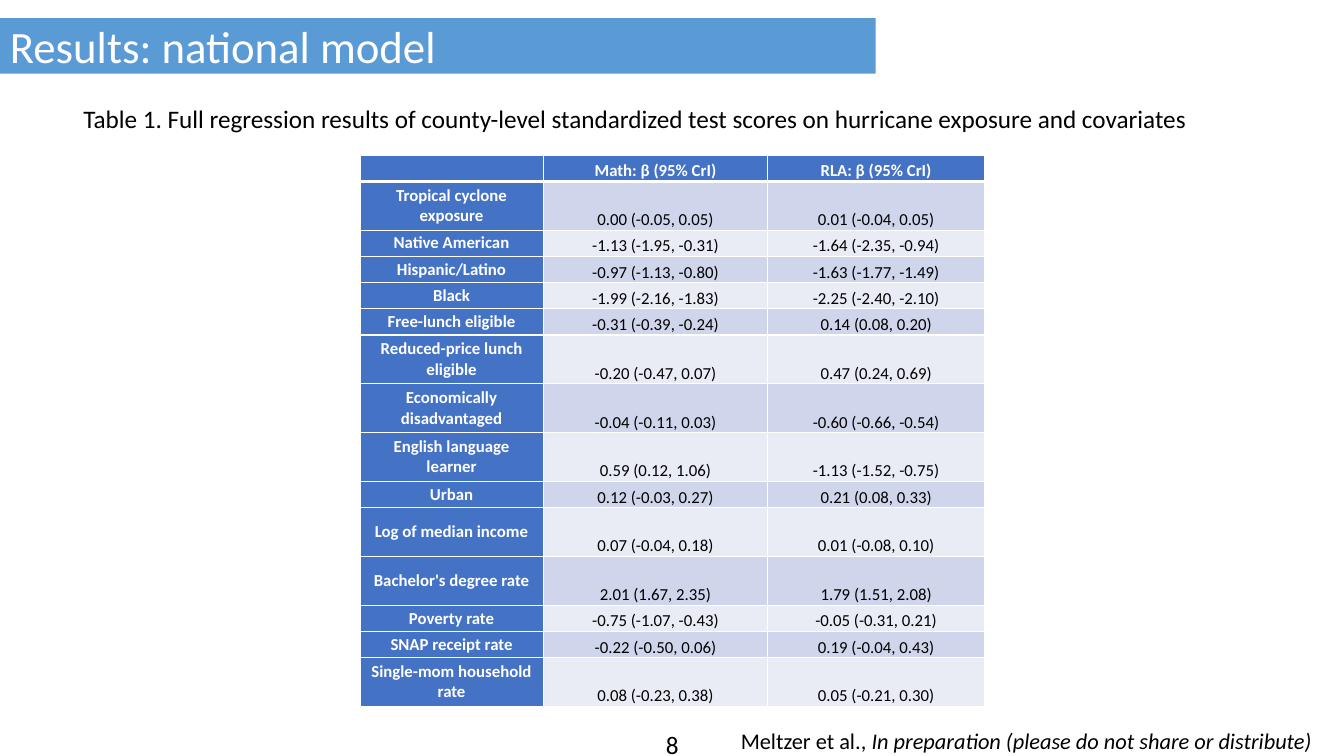
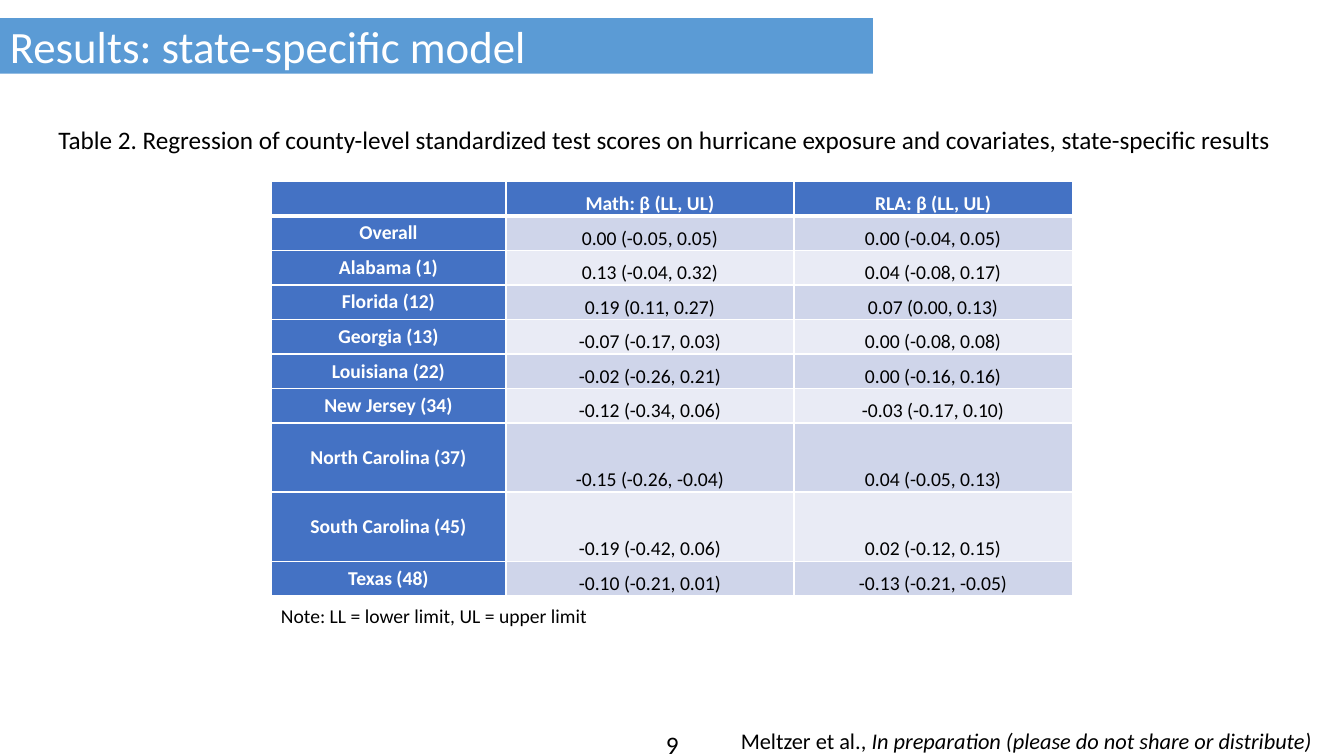
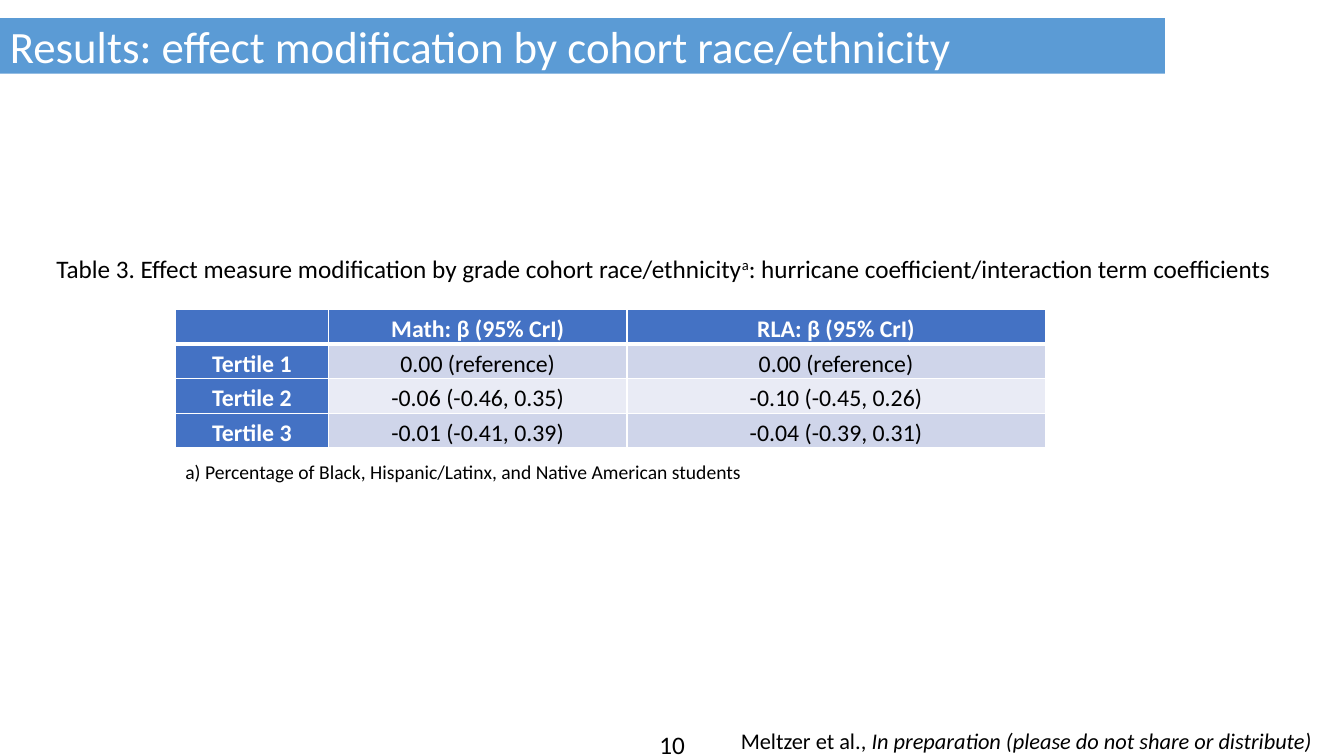
from dataclasses import dataclass

from lxml.etree import SubElement
from pptx import Presentation
from pptx.dml.color import RGBColor
from pptx.enum.shapes import MSO_SHAPE
from pptx.enum.text import MSO_ANCHOR, MSO_AUTO_SIZE, PP_ALIGN
from pptx.oxml.ns import qn
from pptx.util import Cm, Pt


@dataclass(frozen=True)
class Theme:
    """Colours, typeface and type sizes shared by all slides."""

    font: str = "Calibri"
    band: str = "5B9BD5"
    header: str = "4472C4"
    odd_row: str = "CFD5EA"
    even_row: str = "E9EBF5"
    white: str = "FFFFFF"
    black: str = "000000"
    title_size: int = 32
    caption_size: int = 18
    number_size: int = 18
    credit_size: int = 16
    note_size: int = 14


THEME = Theme()

NATIONAL = [
    ("", "Math: β (95% CrI)", "RLA: β (95% CrI)"),
    ("Tropical cyclone exposure", "0.00 (-0.05, 0.05)", "0.01 (-0.04, 0.05)"),
    ("Native American", "-1.13 (-1.95, -0.31)", "-1.64 (-2.35, -0.94)"),
    ("Hispanic/Latino", "-0.97 (-1.13, -0.80)", "-1.63 (-1.77, -1.49)"),
    ("Black", "-1.99 (-2.16, -1.83)", "-2.25 (-2.40, -2.10)"),
    ("Free-lunch eligible", "-0.31 (-0.39, -0.24)", "0.14 (0.08, 0.20)"),
    ("Reduced-price lunch eligible", "-0.20 (-0.47, 0.07)", "0.47 (0.24, 0.69)"),
    ("Economically disadvantaged", "-0.04 (-0.11, 0.03)", "-0.60 (-0.66, -0.54)"),
    ("English language learner", "0.59 (0.12, 1.06)", "-1.13 (-1.52, -0.75)"),
    ("Urban", "0.12 (-0.03, 0.27)", "0.21 (0.08, 0.33)"),
    ("Log of median income", "0.07 (-0.04, 0.18)", "0.01 (-0.08, 0.10)"),
    ("Bachelor's degree rate", "2.01 (1.67, 2.35)", "1.79 (1.51, 2.08)"),
    ("Poverty rate", "-0.75 (-1.07, -0.43)", "-0.05 (-0.31, 0.21)"),
    ("SNAP receipt rate", "-0.22 (-0.50, 0.06)", "0.19 (-0.04, 0.43)"),
    ("Single-mom household rate", "0.08 (-0.23, 0.38)", "0.05 (-0.21, 0.30)"),
]
NATIONAL_TALL = (1, 6, 7, 8, 10, 11, 14)

STATES = [
    ("", "Math: β (LL, UL)", "RLA: β (LL, UL)"),
    ("Overall", "0.00 (-0.05, 0.05)", "0.00 (-0.04, 0.05)"),
    ("Alabama (1)", "0.13 (-0.04, 0.32)", "0.04 (-0.08, 0.17)"),
    ("Florida (12)", "0.19 (0.11, 0.27)", "0.07 (0.00, 0.13)"),
    ("Georgia (13)", "-0.07 (-0.17, 0.03)", "0.00 (-0.08, 0.08)"),
    ("Louisiana (22)", "-0.02 (-0.26, 0.21)", "0.00 (-0.16, 0.16)"),
    ("New Jersey (34)", "-0.12 (-0.34, 0.06)", "-0.03 (-0.17, 0.10)"),
    ("North Carolina (37)", "-0.15 (-0.26, -0.04)", "0.04 (-0.05, 0.13)"),
    ("South Carolina (45)", "-0.19 (-0.42, 0.06)", "0.02 (-0.12, 0.15)"),
    ("Texas (48)", "-0.10 (-0.21, 0.01)", "-0.13 (-0.21, -0.05)"),
]
STATES_TALL = (7, 8)

TERTILES = [
    ("", "Math: β (95% CrI)", "RLA: β (95% CrI)"),
    ("Tertile 1", "0.00 (reference)", "0.00 (reference)"),
    ("Tertile 2", "-0.06 (-0.46, 0.35)", "-0.10 (-0.45, 0.26)"),
    ("Tertile 3", "-0.01 (-0.41, 0.39)", "-0.04 (-0.39, 0.31)"),
]


def style(paragraph, size, color=THEME.black, bold=False, align=PP_ALIGN.LEFT):
    """Set the font and alignment of a whole paragraph."""
    paragraph.alignment = align
    font = paragraph.font
    font.name, font.size, font.bold = THEME.font, Pt(size), bold
    font.color.rgb = RGBColor.from_string(color)


def add_text(slide, box, parts, size, wrap=False, align=PP_ALIGN.LEFT):
    """Add one line of text made of parts and return its runs."""
    frame = slide.shapes.add_textbox(*map(Cm, box)).text_frame
    frame.word_wrap = wrap
    frame.auto_size = MSO_AUTO_SIZE.SHAPE_TO_FIT_TEXT
    paragraph = frame.paragraphs[0]
    for part in parts:
        paragraph.add_run().text = part
    style(paragraph, size, align=align)
    return paragraph.runs


def add_title(slide, title, width):
    """Add the title band that starts at the left edge."""
    band = slide.shapes.add_shape(
        MSO_SHAPE.RECTANGLE, Cm(0), Cm(0.46), Cm(width), Cm(1.4))
    band.shadow.inherit = False
    band.fill.solid()
    band.fill.fore_color.rgb = RGBColor.from_string(THEME.band)
    band.line.fill.background()
    band.text_frame.vertical_anchor = MSO_ANCHOR.MIDDLE
    paragraph = band.text_frame.paragraphs[0]
    paragraph.text = title
    style(paragraph, THEME.title_size, THEME.white)


def add_footer(slide, number):
    """Add the slide number and the credit."""
    add_text(slide, (13.13, 18.26, 7.62, 1.02), [str(number)],
             THEME.number_size, wrap=True, align=PP_ALIGN.CENTER)
    credit = add_text(
        slide, (18.42, 18.21, 15.32, 0.94),
        ["Meltzer et al., ", "In preparation (please do not share or distribute)"],
        THEME.credit_size, wrap=True)
    credit[1].font.italic = True


def add_caption(slide, left, top, width, *parts):
    """Add the table caption and return its runs."""
    return add_text(slide, (left, top, width, 1.02), parts, THEME.caption_size)


def add_note(slide, left, top, width, note):
    """Add the small note below a table."""
    add_text(slide, (left, top, width, 0.86), [note], THEME.note_size)


def add_borders(cell, is_header):
    """Draw white cell borders, heavier below the header."""
    properties = cell._tc.get_or_add_tcPr()
    for side in ("lnL", "lnR", "lnT", "lnB"):
        points = 3 if is_header and side == "lnB" else 1
        line = SubElement(properties, qn(f"a:{side}"), w=str(Pt(points)))
        fill = SubElement(line, qn("a:solidFill"))
        SubElement(fill, qn("a:srgbClr"), val=THEME.white)


def fill_cell(cell, text, row, column, size, inset, label_anchor):
    """Write and colour one cell by its place in the table."""
    is_label = row > 0 and column == 0
    is_heading = row == 0 or column == 0
    add_borders(cell, row == 0)
    stripe = THEME.odd_row if row % 2 else THEME.even_row
    cell.fill.solid()
    cell.fill.fore_color.rgb = RGBColor.from_string(
        THEME.header if is_heading else stripe)
    cell.margin_left = cell.margin_right = Cm(inset)
    cell.margin_top = cell.margin_bottom = 0
    cell.vertical_anchor = label_anchor if is_label else MSO_ANCHOR.BOTTOM
    paragraph = cell.text_frame.paragraphs[0]
    if text:
        paragraph.text = text
    style(paragraph, size, THEME.white if is_heading else THEME.black,
          is_heading, PP_ALIGN.CENTER)
    if not text:
        SubElement(paragraph._p, qn("a:endParaRPr"), sz=str(size * 100))


def add_results(slide, left, top, widths, heights, rows, size, inset,
                label_anchor=MSO_ANCHOR.MIDDLE):
    """Add a table of coefficients."""
    table = slide.shapes.add_table(
        len(rows), len(widths), Cm(left), Cm(top),
        Cm(sum(widths)), Cm(sum(heights))).table
    table.first_col = True
    for column, width in zip(table.columns, widths):
        column.width = Cm(width)
    for row, height in zip(table.rows, heights):
        row.height = Cm(height)
    for r, row in enumerate(rows):
        for c, text in enumerate(row):
            fill_cell(table.cell(r, c), text, r, c, size, inset, label_anchor)


def row_heights(rows, tall_rows, normal, tall):
    """Return the height of each row."""
    return [tall if r in tall_rows else normal for r in range(len(rows))]


def new_slide(presentation, number, title, band_width):
    """Add a blank slide with its title band and footer."""
    slide = presentation.slides.add_slide(presentation.slide_layouts[6])
    add_title(slide, title, band_width)
    add_footer(slide, number)
    return slide


def main():
    """Build the three results slides."""
    presentation = Presentation()
    presentation.slide_width, presentation.slide_height = Cm(33.87), Cm(19.05)

    national = new_slide(presentation, 8, "Results: national model", 22.07)
    add_caption(national, 1.85, 2.49, 28.96,
                "Table 1. Full regression results of county-level standardized "
                "test scores on hurricane exposure and covariates")
    add_results(national, 9.07, 3.91, (4.62, 5.66, 5.46),
                row_heights(NATIONAL, NATIONAL_TALL, 0.66, 1.23),
                NATIONAL, 12, 0.2)

    states = new_slide(presentation, 9, "Results: state-specific model", 22)
    add_caption(states, 1.22, 3, 31.42,
                "Table 2. Regression of county-level standardized test scores on "
                "hurricane exposure and covariates, state-specific results")
    add_results(states, 6.83, 4.57, (5.92, 7.26, 7.01),
                row_heights(STATES, STATES_TALL, 0.87, 1.74), STATES, 14, 0.23)
    add_note(states, 6.83, 15.09, 8.31, "Note: LL = lower limit, UL = upper limit")

    tertiles = new_slide(
        presentation, 10, "Results: effect modification by cohort race/ethnicity", 29.36)
    caption = add_caption(
        tertiles, 1.17, 6.25, 31.52,
        "Table 3. Effect measure modification by grade cohort race/ethnicity", "a",
        ": hurricane coefficient/interaction term coefficients")
    caption[1]._r.get_or_add_rPr().set("baseline", "30000")
    add_results(tertiles, 4.42, 7.8, (3.86, 7.52, 10.54),
                row_heights(TERTILES, (), 0.87, 0.87), TERTILES, 17, 0.3,
                MSO_ANCHOR.BOTTOM)
    add_note(tertiles, 4.42, 11.46, 15.24,
             "a) Percentage of Black, Hispanic/Latinx, and Native American students")

    presentation.save("out.pptx")


if __name__ == "__main__":
    main()
